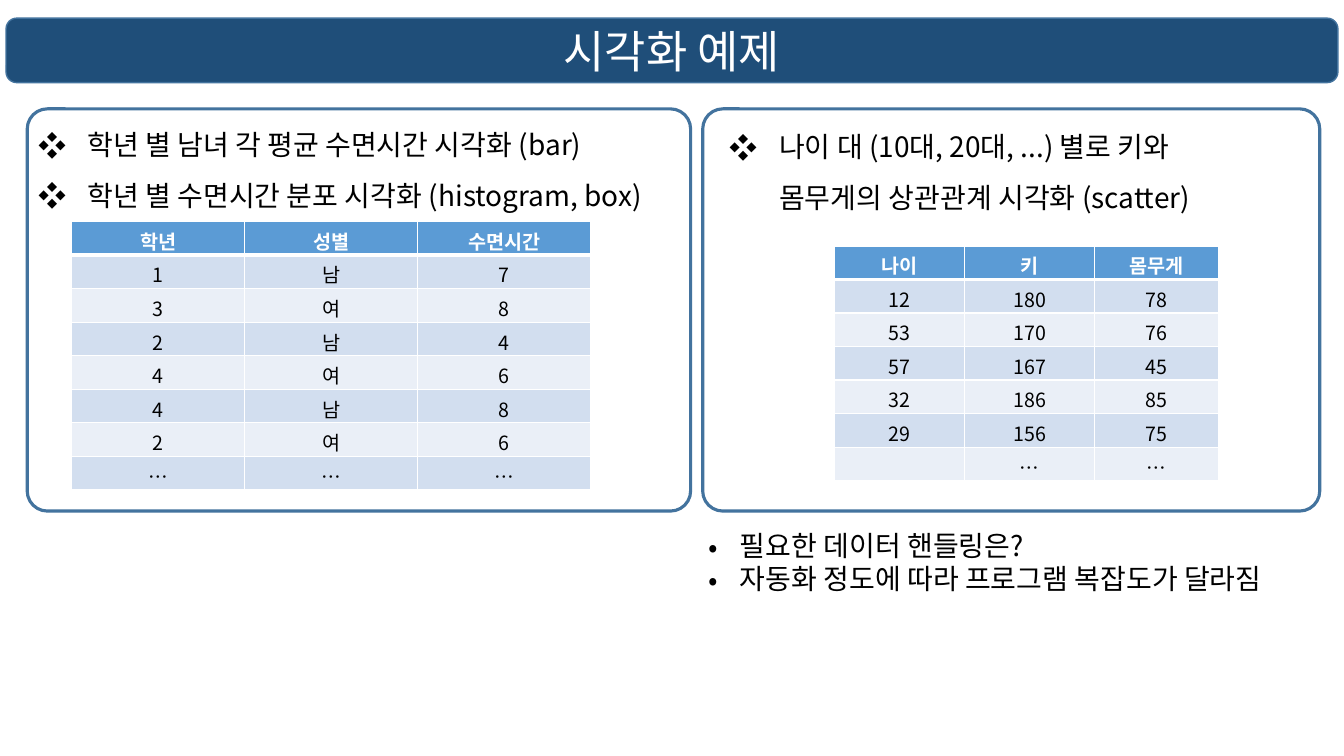
from lxml.etree import SubElement
from pptx import Presentation
from pptx.dml.color import RGBColor
from pptx.enum.shapes import MSO_SHAPE
from pptx.enum.text import MSO_ANCHOR, MSO_AUTO_SIZE, PP_ALIGN
from pptx.oxml.ns import qn
from pptx.util import Inches, Pt

FONT = "Noto Sans CJK KR"
COLORS = {"title": "1F4E79", "outline": "43739E", "header": "5B9BD5",
          "odd": "D2DEEF", "even": "EAEFF7", "white": "FFFFFF", "black": "000000"}
RGB = {name: RGBColor.from_string(value) for name, value in COLORS.items()}

prs = Presentation()
prs.slide_width, prs.slide_height = Inches(13.33), Inches(7.5)
s = prs.slides.add_slide(prs.slide_layouts[6])


def box(x, y, w, h):
    W, H = prs.slide_width, prs.slide_height
    return [int(share * side / 100) for share, side in zip((x, y, w, h), (W, H, W, H))]


def style(p, size, color, bold=False):
    for r in p.runs:
        r.font.size, r.font.bold, r.font.name = Pt(size), bold, FONT
        r.font.color.rgb = RGB[color]
        SubElement(r.font._element, qn("a:ea"), typeface=FONT)


texts = [
    (box(2.1, 14, 48.76, 14.8), "❖", 0.49, 1.5, True,
     ["학년 별 남녀 각 평균 수면시간 시각화 (bar)",
      "학년 별 수면시간 분포 시각화 (histogram, box)"]),
    (box(53.56, 14.27, 41.86, 14.8), "❖", 0.49, 1.5, True,
     ["나이 대 (10대, 20대, ...) 별로 키와 몸무게의 상관관계 시각화 (scatter)"]),
    (box(51.99, 69.2, 47.56, 10.27), "•", 0.31, 1.0, False,
     ["필요한 데이터 핸들링은?", "자동화 정도에 따라 프로그램 복잡도가 달라짐"]),
]
for place, bullet, indent, spacing, wrap, lines in texts:
    tf = s.shapes.add_textbox(*place).text_frame
    tf.word_wrap = wrap
    tf.auto_size = MSO_AUTO_SIZE.SHAPE_TO_FIT_TEXT
    tf.text = "\n".join(lines)
    for p in tf.paragraphs:
        p.line_spacing = spacing
        pPr = p._p.get_or_add_pPr()
        pPr.set("marL", str(Inches(indent)))
        pPr.set("indent", str(-Inches(indent)))
        SubElement(pPr, qn("a:buFont"), typeface=FONT)
        SubElement(pPr, qn("a:buChar"), char=bullet)
        style(p, 20, "black")

sp = s.shapes.add_shape(MSO_SHAPE.ROUNDED_RECTANGLE, *box(0.45, 2.4, 99.1, 8.53))
sp.shadow.inherit = False
sp.fill.solid()
sp.fill.fore_color.rgb = RGB["title"]
sp.line.color.rgb = RGB["outline"]
sp.line.width = Pt(1)
tf = sp.text_frame
tf.vertical_anchor = MSO_ANCHOR.MIDDLE
tf.text = "시각화 예제"
p = tf.paragraphs[0]
p.alignment = PP_ALIGN.CENTER
style(p, 32, "white")

ROW = 4.44
tables = [
    (5.33, 29.3, [12.88, 12.88, 12.88],
     ["학년 성별 수면시간", "1 남 7", "3 여 8", "2 남 4", "4 여 6", "4 남 8", "2 여 6", "… … …"]),
    (62.1, 32.53, [9.68, 9.68, 9.22],
     ["나이 키 몸무게", "12 180 78", "53 170 76", "57 167 45", "32 186 85", "29 156 75", " … …"]),
]
for x, y, widths, rows in tables:
    place = box(x, y, sum(widths), ROW * len(rows))
    tbl = s.shapes.add_table(len(rows), len(widths), *place).table
    for col, width in zip(tbl.columns, widths):
        col.width = int(prs.slide_width * width / 100)
    for i, row in enumerate(rows):
        tbl.rows[i].height = int(prs.slide_height * ROW / 100)
        for j, value in enumerate(row.split(" ")):
            cell = tbl.cell(i, j)
            cell.margin_top, cell.margin_bottom = Inches(0.05), 0
            cell.text = value
            p = cell.text_frame.paragraphs[0]
            p.alignment = PP_ALIGN.CENTER
            style(p, 14, "black" if i else "white", i == 0)
            if not value:
                SubElement(p._p, qn("a:endParaRPr"), sz="1400")
            tcPr = cell._tc.get_or_add_tcPr()
            for side in ("lnL", "lnR", "lnT", "lnB"):
                thick = (side == "lnB" and i == 0) or (side == "lnT" and i == 1)
                ln = SubElement(tcPr, qn("a:" + side), w=str(Pt(3 if thick else 1)))
                fill = SubElement(ln, qn("a:solidFill"))
                SubElement(fill, qn("a:srgbClr"), val=COLORS["white"])
            cell.fill.solid()
            band = "header" if i == 0 else "odd" if i % 2 else "even"
            cell.fill.fore_color.rgb = RGB[band]

for x, w in ((2.03, 49.36), (52.29, 45.91)):
    sp = s.shapes.add_shape(MSO_SHAPE.ROUNDED_RECTANGLE, *box(x, 14.4, w, 53.2))
    sp.adjustments[0] = 0.05
    sp.shadow.inherit = False
    sp.fill.background()
    sp.line.color.rgb = RGB["outline"]
    sp.line.width = Pt(2.25)

prs.save("out.pptx")
